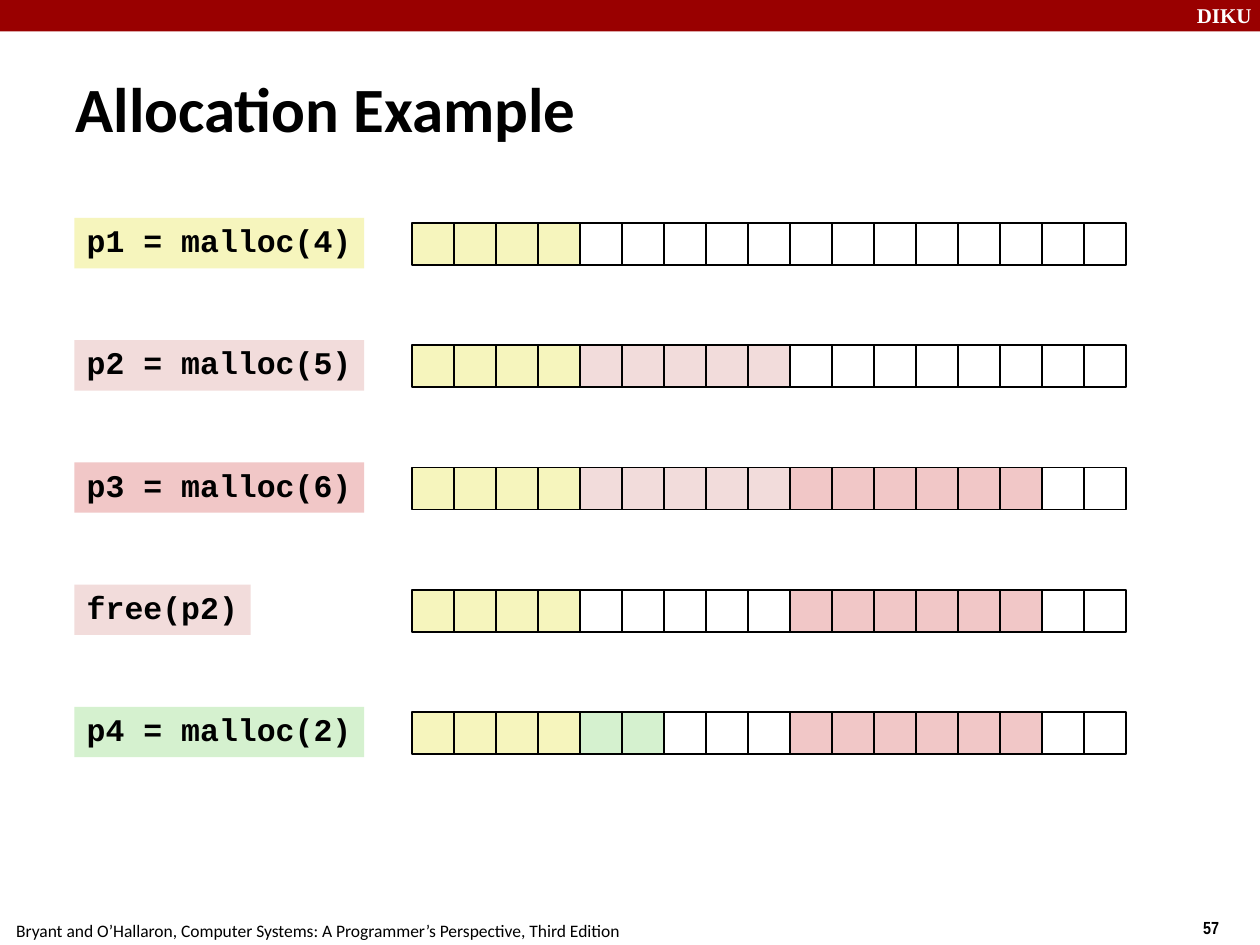
from pptx import Presentation
from pptx.dml.color import RGBColor
from pptx.enum.shapes import MSO_SHAPE
from pptx.enum.text import MSO_ANCHOR, PP_ALIGN
from pptx.util import Inches, Pt

RECT = MSO_SHAPE.RECTANGLE
LEFT = PP_ALIGN.LEFT
TOP, MIDDLE = MSO_ANCHOR.TOP, MSO_ANCHOR.MIDDLE

HEX = {
    "bar": "990000",
    "black": "000000",
    "white": "FFFFFF",
    "yellow": "F6F5BD",
    "rose": "F2DCDB",
    "pink": "F1C7C7",
    "green": "D5F1CF",
}
FONTS = {
    "title": {"name": "Calibri", "size": Pt(36), "bold": True},
    "code": {"name": "Courier New", "size": Pt(18), "bold": True},
    "mark": {"name": "Times New Roman", "size": Pt(12), "bold": True},
    "page": {"name": "Arial Narrow", "size": Pt(10), "bold": True},
    "foot": {"name": "Calibri", "size": Pt(10), "bold": False},
}
CELLS = 17
PITCH = 1 / 3
STEP = 0.97
ROWS = [
    ("p1 = malloc(4)", 2.3, "yellow", [("yellow", 4)]),
    ("p2 = malloc(5)", 2.3, "rose", [("yellow", 4), ("rose", 5)]),
    ("p3 = malloc(6)", 2.3, "pink", [("yellow", 4), ("rose", 5), ("pink", 6)]),
    ("free(p2)", 1.4, "rose", [("yellow", 4), ("white", 5), ("pink", 6)]),
    ("p4 = malloc(2)", 2.3, "green",
     [("yellow", 4), ("green", 2), ("white", 3), ("pink", 6)]),
]


class Deck:
    """Hold the style and the current slide, and draw each kind of element."""

    def __init__(self):
        self.prs = Presentation()
        self.prs.slide_width = Inches(10)
        self.prs.slide_height = Inches(7.5)
        self.slide = self.prs.slides.add_slide(self.prs.slide_layouts[5])

    def color(self, name):
        return RGBColor.from_string(HEX[name])

    def fit(self, shape, text, style, tint="black", wrap=True, anchor=TOP):
        frame = shape.text_frame
        frame.text = text
        frame.word_wrap = wrap
        frame.vertical_anchor = anchor
        para = frame.paragraphs[0]
        para.alignment = LEFT
        for key, value in FONTS[style].items():
            setattr(para.font, key, value)
        para.font.color.rgb = self.color(tint)
        return para

    def title(self, text, *box):
        shape = self.slide.shapes.title
        for key, value in zip(("left", "top", "width", "height"), box):
            setattr(shape, key, Inches(value))
        self.fit(shape, text, "title", anchor=MIDDLE)

    def text(self, text, style, *box, **form):
        shape = self.slide.shapes.add_textbox(*map(Inches, box))
        self.fit(shape, text, style, **form)

    def rect(self, fill, *box, line=None):
        shape = self.slide.shapes.add_shape(RECT, *map(Inches, box))
        shape.shadow.inherit = False
        shape.fill.solid()
        shape.fill.fore_color.rgb = self.color(fill)
        if line:
            shape.line.color.rgb = self.color(line)
            shape.line.width = Pt(1)
        else:
            shape.line.fill.background()
        return shape

    def heap(self, runs, top):
        fills = [name for name, count in runs for _ in range(count)]
        fills += ["white"] * (CELLS - len(fills))
        for col, fill in enumerate(fills):
            self.rect(fill, 3.27 + col * PITCH, top, PITCH, PITCH, line="black")

    def label(self, text, fill, *box):
        shape = self.rect(fill, *box)
        self.fit(shape, text, "code", wrap=False).line_spacing = 0.94


def main():
    deck = Deck()
    deck.rect("bar", 0, 0, 10, 0.25)
    deck.text("DIKU", "mark", 9.4, -0.03, 0.67, 0.3, tint="white")
    deck.text("57", "page", 9.45, 7.23, 0.75, 0.29)
    deck.text("Bryant and O’Hallaron, Computer Systems: "
              "A Programmer’s Perspective, Third Edition",
              "foot", 0.03, 7.25, 4.99, 0.26, wrap=False)
    deck.title("Allocation Example", 0.5, 0.54, 7.07, 0.63)
    for row, (code, width, fill, runs) in enumerate(ROWS):
        top = 1.73 + row * STEP
        deck.heap(runs, top + 0.04)
        deck.label(code, fill, 0.59, top, width, 0.4)
    deck.prs.save("out.pptx")


if __name__ == "__main__":
    main()
